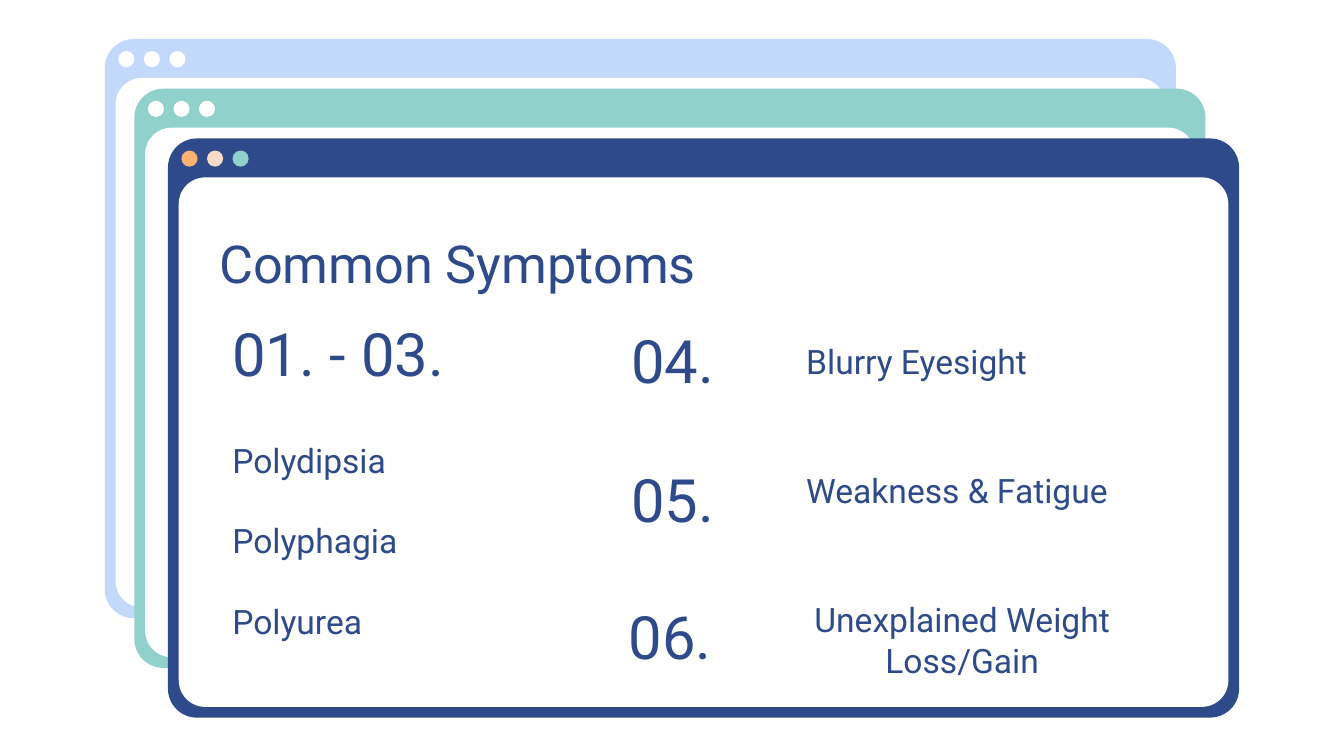
import pptx
import pptx.dml.color
import pptx.enum.shapes
import pptx.enum.text
import pptx.util

Inches = pptx.util.Inches
SHAPES = pptx.enum.shapes.MSO_SHAPE
ALIGN = pptx.enum.text.PP_ALIGN
NAVY = "2F4A8A"
TEAL = "90D1CB"
WHITE = "FFFFFF"


def color(value):
    return pptx.dml.color.RGBColor.from_string(value)


def add_filled_shape(slide, kind, left, top, width, height, fill):
    shape = slide.shapes.add_shape(
        kind, Inches(left), Inches(top), Inches(width), Inches(height))
    shape.shadow.inherit = False
    shape.fill.solid()
    shape.fill.fore_color.rgb = color(fill)
    shape.line.fill.background()
    return shape


def add_window(slide, left, top, frame_color, dot_colors):
    frame = add_filled_shape(
        slide, SHAPES.ROUNDED_RECTANGLE, left, top, 7.97, 4.31, frame_color)
    frame.adjustments[0] = 0.05
    pane = add_filled_shape(
        slide, SHAPES.ROUNDED_RECTANGLE, left + 0.08, top + 0.29, 7.81, 3.94, WHITE)
    pane.adjustments[0] = 0.05
    for index, dot_color in enumerate(dot_colors):
        add_filled_shape(slide, SHAPES.OVAL, left + 0.1 + 0.19 * index, top + 0.09,
                         0.12, 0.12, dot_color)


def format_text(shape, text, size, align):
    text_frame = shape.text_frame
    text_frame.text = text
    text_frame.word_wrap = True
    text_frame.auto_size = pptx.enum.text.MSO_AUTO_SIZE.NONE
    text_frame.vertical_anchor = pptx.enum.text.MSO_ANCHOR.TOP
    text_frame.margin_left = text_frame.margin_right = Inches(0.1)
    text_frame.margin_top = text_frame.margin_bottom = Inches(0.1)
    paragraph = text_frame.paragraphs[0]
    paragraph.alignment = align
    font = paragraph.runs[0].font
    font.name = "Roboto"
    font.size = pptx.util.Pt(size)
    font.color.rgb = color(NAVY)


def place_title(slide, text):
    title = slide.shapes.title
    title.left, title.top = Inches(1.53), Inches(1.62)
    title.width, title.height = Inches(7.44), Inches(0.51)
    format_text(title, text, 28, ALIGN.LEFT)
    title.element.getparent().append(title.element)


def add_label(slide, text, left, top, width, height=0.51, size=18, align=ALIGN.LEFT):
    label = slide.shapes.add_textbox(
        Inches(left), Inches(top), Inches(width), Inches(height))
    format_text(label, text, size, align)


def add_number(slide, text, left, top, width=0.99, align=ALIGN.CENTER):
    add_label(slide, text, left, top, width, 0.64, 32, align)


def main():
    presentation = pptx.Presentation()
    presentation.slide_width = Inches(10)
    presentation.slide_height = Inches(10) * 9 // 16
    slide = presentation.slides.add_slide(presentation.slide_layouts[5])

    add_window(slide, 0.78, 0.29, "C3D9FB", [WHITE] * 3)
    add_window(slide, 1, 0.66, TEAL, [WHITE] * 3)
    add_window(slide, 1.25, 1.03, NAVY, ["FFB172", "F8DBC4", TEAL])
    place_title(slide, "Common Symptoms")

    add_number(slide, "01. - 03.", 1.63, 2.26, 2.79, ALIGN.LEFT)
    for index, symptom in enumerate(["Polydipsia", "Polyphagia", "Polyurea"]):
        add_label(slide, symptom, 1.63, 3.17 + 0.6 * index, 2.08)

    for number, left, top in [("04.", 4.51, 2.31), ("05.", 4.51, 3.34), ("06.", 4.49, 4.36)]:
        add_number(slide, number, left, top)
    add_label(slide, "Blurry Eyesight", 5.9, 2.44, 2.08)
    add_label(slide, "Weakness & Fatigue", 5.9, 3.4, 2.86)
    add_label(slide, "Unexplained Weight Loss/Gain", 5.56, 4.36, 3.2, align=ALIGN.CENTER)

    presentation.save("out.pptx")


if __name__ == "__main__":
    main()
